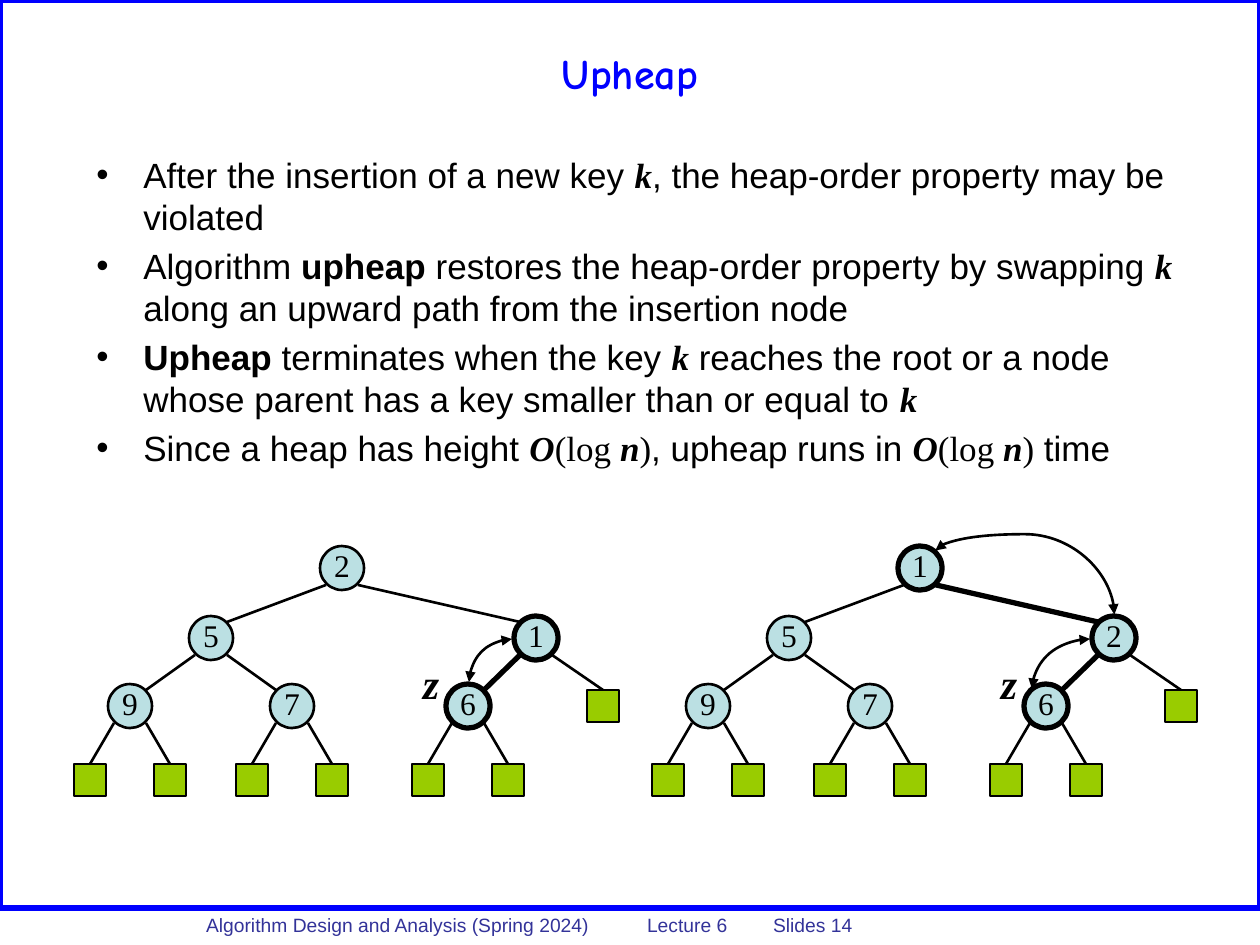
import lxml.etree
import pptx
import pptx.dml.color
import pptx.enum.shapes
import pptx.enum.text
import pptx.oxml.ns
import pptx.util

EMU_PER_PX = 914400 / 126
COLORS = {"blue": "0000FF", "footer": "333399", "ink": "000000",
          "node": "BBE0E3", "leaf": "99CC00"}
SANS, SERIF, HAND = "Arial", "Times New Roman", "Comic Neue"
THIN, THICK = 1.5, 3

# Run styles in the body: font, bold, italic
RUN_STYLES = {"plain": (SANS, False, False), "bold": (SANS, True, False),
              "math": (SERIF, False, False), "variable": (SERIF, True, True)}
BIG_O = [("O", "variable"), ("(log ", "math"), ("n", "variable"), (")", "math")]
BULLETS = [
    [("After the insertion of a new key ", "plain"), ("k", "variable"),
     (", the heap-order property may be violated", "plain")],
    [("Algorithm ", "plain"), ("upheap", "bold"),
     (" restores the heap-order property by swapping ", "plain"), ("k", "variable"),
     (" along an upward path from the insertion node", "plain")],
    [("Upheap", "bold"), (" terminates when the key ", "plain"), ("k", "variable"),
     (" reaches the root or a node whose parent has a key smaller than or equal to ", "plain"),
     ("k", "variable")],
    [("Since a heap has height ", "plain"), *BIG_O,
     (", upheap runs in ", "plain"), *BIG_O, (" time", "plain")],
]

# Tree layout: centres of keyed nodes and of leaves, parent by parent
NODES = {"root": (342, 568), "left": (211, 638), "right": (536, 638),
         "left-left": (130, 706), "left-right": (292, 706), "inserted": (468, 706)}
NODE_EDGES = [("root", "left"), ("root", "right"), ("left", "left-left"),
              ("left", "left-right"), ("right", "inserted")]
LEAF_PARENTS = ["left-left", "left-right", "inserted"]
LEAF_SPREAD, LEAF_ROW = 40, 780
NODE_SIZE, LEAF_SIZE, EDGE_OFFSET = 44, 32, 16
TREE_SHIFT = 578


def px(length):
    return pptx.util.Emu(round(length * EMU_PER_PX))


def color(name):
    return pptx.dml.color.RGBColor.from_string(COLORS[name])


def add_element(parent, tag, **attributes):
    element = lxml.etree.SubElement(parent, pptx.oxml.ns.qn(tag))
    for name, value in attributes.items():
        element.set(name, str(value))
    return element


class SlideBuilder:
    def __init__(self, slide):
        self.slide = slide

    def format_font(self, font, size, name, ink="ink", bold=False, italic=False):
        font.size = pptx.util.Pt(size)
        font.name, font.bold, font.italic = name, bold, italic
        font.color.rgb = color(ink)

    def shape(self, kind, left, top, width, height, fill, line, weight):
        shape = self.slide.shapes.add_shape(kind, px(left), px(top), px(width), px(height))
        shape.shadow.inherit = False
        if fill:
            shape.fill.solid()
            shape.fill.fore_color.rgb = color(fill)
        else:
            shape.fill.background()
        shape.line.color.rgb = color(line)
        shape.line.width = pptx.util.Pt(weight)
        return shape

    def text_box(self, left, top, width, height, wrap=True):
        box = self.slide.shapes.add_textbox(px(left), px(top), px(width), px(height))
        box.text_frame.word_wrap = wrap
        return box.text_frame

    def label(self, frame, text, size, font, centred=True, **style):
        frame.text = text
        paragraph = frame.paragraphs[0]
        if centred:
            paragraph.alignment = pptx.enum.text.PP_ALIGN.CENTER
        self.format_font(paragraph.runs[0].font, size, font, **style)

    def bullets(self, frame, items, size, indent):
        for index, item in enumerate(items):
            paragraph = frame.add_paragraph() if index else frame.paragraphs[0]
            if index:
                paragraph.space_before = pptx.util.Pt(size * 0.2)
            properties = paragraph._p.get_or_add_pPr()
            properties.set("marL", str(px(indent)))
            properties.set("indent", str(-px(indent)))
            add_element(properties, "a:buFont", typeface=SANS)
            add_element(properties, "a:buChar", char="•")
            for text, style in item:
                run = paragraph.add_run()
                run.text = text
                name, bold, italic = RUN_STYLES[style]
                self.format_font(run.font, size, name, bold=bold, italic=italic)

    def node(self, center, key, weight):
        x, y = center
        half = NODE_SIZE / 2
        shape = self.shape(pptx.enum.shapes.MSO_SHAPE.OVAL, x - half, y - half,
                           NODE_SIZE, NODE_SIZE, "node", "ink", weight)
        frame = shape.text_frame
        frame.margin_left = frame.margin_right = frame.margin_top = 0
        frame.margin_bottom = px(6)
        frame.word_wrap = False
        frame.vertical_anchor = pptx.enum.text.MSO_ANCHOR.MIDDLE
        self.label(frame, key, 18, SERIF)

    def leaf(self, center):
        x, y = center
        half = LEAF_SIZE / 2
        self.shape(pptx.enum.shapes.MSO_SHAPE.RECTANGLE, x - half, y - half,
                   LEAF_SIZE, LEAF_SIZE, "leaf", "ink", THIN)

    def connector(self, kind, start, end, weight=THIN):
        connector = self.slide.shapes.add_connector(kind, *map(px, start + end))
        connector.line.color.rgb = color("ink")
        connector.line.width = pptx.util.Pt(weight)
        add_element(connector._element.spPr, "a:effectLst")
        return connector

    def edge(self, parent, child, weight=THIN, to_leaf=False):
        side = EDGE_OFFSET if child[0] > parent[0] else -EDGE_OFFSET
        start = (parent[0] + side, parent[1] + EDGE_OFFSET + 1)
        end = (child[0] if to_leaf else child[0] - side, child[1] - EDGE_OFFSET)
        self.connector(pptx.enum.shapes.MSO_CONNECTOR.STRAIGHT, start, end, weight)

    def swap_arrow(self, start, end, preset="curvedConnector2", turn=0, bend=None):
        connector = self.connector(pptx.enum.shapes.MSO_CONNECTOR.CURVE, start, end)
        properties = connector._element.spPr
        geometry = properties.find(pptx.oxml.ns.qn("a:prstGeom"))
        geometry.set("prst", preset)
        if bend:
            guides = geometry.find(pptx.oxml.ns.qn("a:avLst"))
            add_element(guides, "a:gd", name="adj1", fmla=f"val {bend}")
        if turn:
            properties.find(pptx.oxml.ns.qn("a:xfrm")).set("rot", str(turn * 60000))
        line = properties.find(pptx.oxml.ns.qn("a:ln"))
        for tag in ("a:headEnd", "a:tailEnd"):
            add_element(line, tag, type="triangle")

    def tree(self, shift, keys, swapped):
        centers = {name: (x + shift, y) for name, (x, y) in NODES.items()}
        weights = {name: THICK if name in swapped else THIN for name in NODES}
        for parent, child in NODE_EDGES:
            self.edge(centers[parent], centers[child], min(weights[parent], weights[child]))
        leaves = [(parent, (centers[parent][0] + side, LEAF_ROW))
                  for parent in LEAF_PARENTS for side in (-LEAF_SPREAD, LEAF_SPREAD)]
        leaves.append(("right", (603 + shift, 706)))
        for parent, center in leaves:
            self.edge(centers[parent], center, to_leaf=True)
            self.leaf(center)
        for name, key in zip(NODES, keys):
            self.node(centers[name], key, weights[name])
        frame = self.text_box(410 + shift, 651, 42, 63, wrap=False)
        self.label(frame, "z", 24, SERIF, bold=True, italic=True)


def main():
    presentation = pptx.Presentation()
    presentation.slide_width, presentation.slide_height = px(1260), px(945)
    builder = SlideBuilder(presentation.slides.add_slide(presentation.slide_layouts[6]))

    # Frame and footer
    builder.shape(pptx.enum.shapes.MSO_SHAPE.RECTANGLE, 0, 0, 1260, 908, None, "blue", 3)
    footer = builder.text_box(168, 907, 1092, 33)
    footer.margin_left = px(38)
    tabs = add_element(footer.paragraphs[0]._p.get_or_add_pPr(), "a:tabLst")
    for position in (591, 869):
        add_element(tabs, "a:tab", pos=px(position), algn="l")
    builder.label(footer, "Algorithm Design and Analysis (Spring 2024)\tLecture 6\tSlides 14",
                  11, SANS, centred=False, ink="footer")

    # Title and body
    title = builder.text_box(63, 10, 1134, 126)
    title.vertical_anchor = pptx.enum.text.MSO_ANCHOR.MIDDLE
    builder.label(title, "Upheap", 24, HAND, ink="blue", bold=True)
    builder.bullets(builder.text_box(84, 147, 1113, 336), BULLETS, 20, 47)

    # Heap after the first swap
    builder.tree(0, "251976", {"right", "inserted"})
    builder.swap_arrow((512, 639), (469, 682))

    # Heap after the second swap
    builder.tree(TREE_SHIFT, "152976", {"root", "right", "inserted"})
    builder.swap_arrow((1090, 639), (1032, 689))
    builder.swap_arrow((1057, 493), (993, 672), "curvedConnector3", turn=90, bend=125600)

    presentation.save("out.pptx")


if __name__ == "__main__":
    main()
